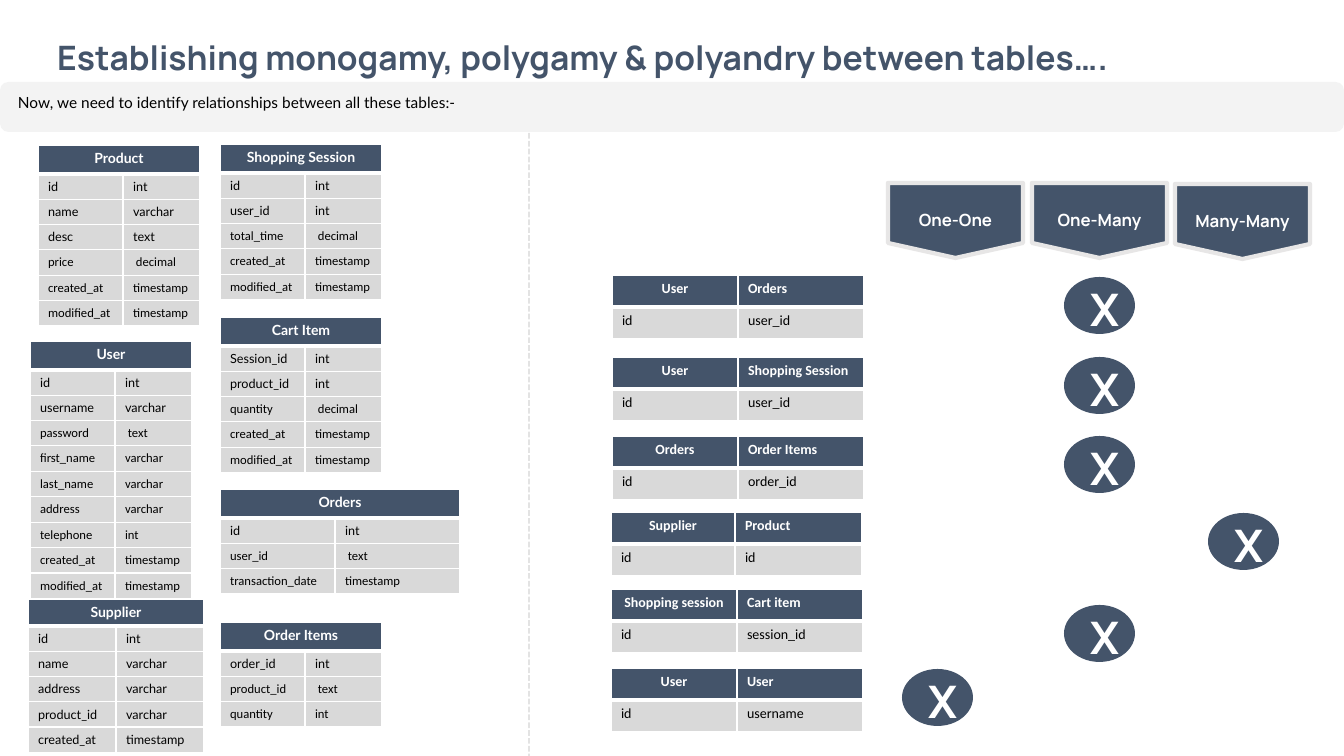
from lxml.etree import SubElement
from pptx import Presentation
from pptx.dml.color import RGBColor
from pptx.enum.dml import MSO_LINE
from pptx.enum.shapes import MSO_CONNECTOR, MSO_SHAPE
from pptx.enum.text import MSO_ANCHOR, MSO_AUTO_SIZE, PP_ALIGN
from pptx.oxml.ns import qn
from pptx.util import Emu, Pt

SCALE = 914400 / 100.8
COLORS = {"navy": "44546A", "grey": "D9D9D9", "outline": "E7E6E6", "white": "FFFFFF", "black": "000000"}
RGB = {name: RGBColor.from_string(value) for name, value in COLORS.items()}


def px(*lengths):
    return [Emu(round(length * SCALE)) for length in lengths]


def write_text(paragraph, text, font, size, color, bold, align):
    paragraph.alignment = align
    run = paragraph.add_run()
    run.text = text
    run.font.name = font
    run.font.size = Pt(size)
    run.font.bold = bold
    run.font.color.rgb = RGB[color]


presentation = Presentation()
presentation.slide_width, presentation.slide_height = px(1344, 756)
slide = presentation.slides.add_slide(presentation.slide_layouts[6])
shapes = slide.shapes

timestamps = [("created_at", "timestamp"), ("modified_at", "timestamp")]
entities = [
    ("Product", 38, 145, (85, 77), (29, 23),
     [("id", "int"), ("name", "varchar"), ("desc", "text"), ("price", " decimal")] + timestamps),
    ("Cart Item", 220, 317, (85, 77), (29, 23),
     [("Session_id", "int"), ("product_id", "int"), ("quantity", " decimal")] + timestamps),
    ("Shopping Session", 220, 144, (85, 77), (29, 23),
     [("id", "int"), ("user_id", "int"), ("total_time", " decimal")] + timestamps),
    ("User", 30, 341, (85, 77), (29, 23),
     [("id", "int"), ("username", "varchar"), ("password", " text"), ("first_name", "varchar"),
      ("last_name", "varchar"), ("address", "varchar"), ("telephone", "int")] + timestamps),
    ("Order Items", 220, 622, (85, 77), (29, 23),
     [("order_id", "int"), ("product_id", " text"), ("quantity", "int")]),
    ("Orders", 220, 489, (115, 125), (29, 23),
     [("id", "int"), ("user_id", " text"), ("transaction_date", "timestamp")]),
    ("Supplier", 28, 599, (88, 88), (27, 24),
     [("id", "int"), ("name", "varchar"), ("address", "varchar"), ("product_id", "varchar"), timestamps[0]]),
]
relations = [
    (612, 275, (126, 126), ("User", "Orders"), ("id", "user_id"), 1064, 277),
    (612, 357, (126, 126), ("User", "Shopping Session"), ("id", "user_id"), 1064, 357),
    (612, 436, (126, 126), ("Orders", "Order Items"), ("id", "order_id"), 1064, 436),
    (611, 512, (124, 127), ("Supplier", "Product"), ("id", "id"), 1208, 513),
    (611, 589, (126, 126), ("Shopping session", "Cart item"), ("id", "session_id"), 1064, 605),
    (611, 668, (126, 126), ("User", "User"), ("id", "username"), 902, 669),
]
headings = [("One-One", 888, 183), ("One-Many", 1032, 183), ("Many-Many", 1175, 184)]

band = shapes.add_shape(MSO_SHAPE.FLOWCHART_ALTERNATE_PROCESS, *px(0, 82, 1344, 50))
band.shadow.inherit = False
band.fill.solid()
band.fill.fore_color.rgb = RGB["grey"]
band.line.fill.background()

divider = shapes.add_connector(MSO_CONNECTOR.STRAIGHT, *px(529, 133, 529, 756))
divider.line.color.rgb = RGB["black"]
divider.line.width = Pt(0.5)
divider.line.dash_style = MSO_LINE.LONG_DASH
SubElement(divider._element.spPr, qn("a:effectLst"))

for shape, percent in [(band, 30), (divider, 31)]:
    color = next(shape._element.spPr.iter(qn("a:srgbClr")))
    SubElement(color, qn("a:alpha"), val=str(percent * 1000))

tables = [(left, top, columns, heights, [(name, "")] + fields, True)
          for name, left, top, columns, heights, fields in entities]
tables += [(left, top, columns, (32, 32), [names, keys], False)
           for left, top, columns, names, keys, *_ in relations]

for left, top, columns, (header_height, row_height), rows, is_entity in tables:
    height = header_height + row_height * (len(rows) - 1)
    table = shapes.add_table(len(rows), 2, *px(left, top, sum(columns), height)).table
    table.horz_banding = False
    for column, width in zip(table.columns, px(*columns)):
        column.width = width
    if is_entity:
        table.cell(0, 0).merge(table.cell(0, 1))
    body_font = "Lato" if is_entity else "Calibri"
    for row_index, values in enumerate(rows):
        is_header = row_index == 0
        table.rows[row_index].height = px(header_height if is_header else row_height)[0]
        for column_index, value in enumerate(values):
            cell = table.cell(row_index, column_index)
            for side in ("lnL", "lnR", "lnT", "lnB"):
                width = Pt(3 if is_header and side == "lnB" else 1)
                border = SubElement(cell._tc.get_or_add_tcPr(), qn("a:" + side), w=str(width))
                SubElement(SubElement(border, qn("a:solidFill")), qn("a:srgbClr"), val=COLORS["white"])
            cell.fill.solid()
            cell.fill.fore_color.rgb = RGB["navy" if is_header else "grey"]
            if value:
                if values[1].startswith(" "):
                    body_font = "Calibri"
                write_text(cell.text_frame.paragraphs[0], value, body_font,
                           10 if is_header or not is_entity else 9,
                           "white" if is_header else "black", is_header,
                           PP_ALIGN.CENTER if is_header and column_index == 0 else PP_ALIGN.LEFT)

markers = [(MSO_SHAPE.FLOWCHART_OFFPAGE_CONNECTOR, left, top, 135, 75) for _, left, top in headings]
markers += [(MSO_SHAPE.OVAL, left, top, 71, 57) for *_, left, top in relations]
for kind, *box in markers:
    marker = shapes.add_shape(kind, *px(*box))
    marker.shadow.inherit = False
    marker.fill.solid()
    marker.fill.fore_color.rgb = RGB["navy"]
    if kind == MSO_SHAPE.OVAL:
        marker.line.fill.background()
    else:
        marker.line.color.rgb = RGB["outline"]
        marker.line.width = Pt(3)

title = "Establishing monogamy, polygamy & polyandry between tables…."
intro = "Now, we need to identify relationships between all these tables:- "
labels = [
    (title, (-2, 32, 1169, 50), "Manrope", 24, "navy", True, PP_ALIGN.CENTER, MSO_ANCHOR.TOP),
    (intro, (8, 82, 1284, 61), "Lato", 11, "black", False, PP_ALIGN.LEFT, MSO_ANCHOR.TOP),
]
marks = [(text, (left, top + 22, 135, 30), 12) for text, left, top in headings]
marks += [("X", (left + 16, top, 44, 64), 32) for *_, left, top in relations]
labels += [(text, box, "Manrope", size, "white", True, PP_ALIGN.CENTER, MSO_ANCHOR.MIDDLE)
           for text, box, size in marks]
for text, box, font, size, color, bold, align, anchor in labels:
    frame = shapes.add_textbox(*px(*box)).text_frame
    frame.word_wrap = text != title
    frame.auto_size = MSO_AUTO_SIZE.SHAPE_TO_FIT_TEXT
    frame.vertical_anchor = anchor
    paragraph = frame.paragraphs[0]
    write_text(paragraph, text, font, size, color, bold, align)
    if text == intro:
        paragraph.line_spacing = Pt(17.5)
        paragraph.space_before = Pt(2)

presentation.save("out.pptx")
